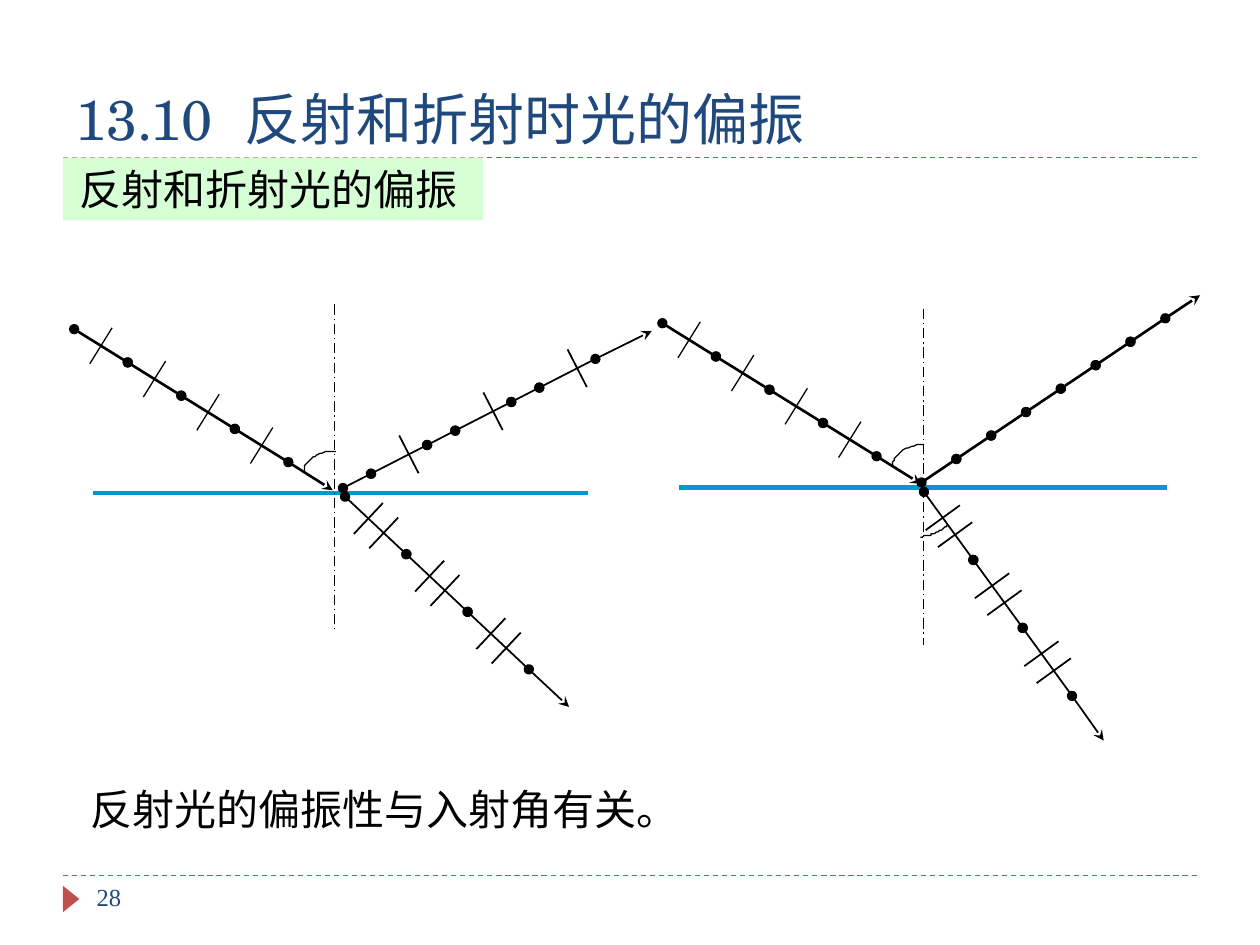
import math

import lxml.etree
import pptx
import pptx.dml.color
import pptx.enum.dml
import pptx.enum.shapes
import pptx.enum.text
import pptx.oxml.ns
import pptx.util

Pt = pptx.util.Pt
qn = pptx.oxml.ns.qn
DASH = pptx.enum.dml.MSO_LINE.DASH
AXIS_DASH = pptx.enum.dml.MSO_LINE.LONG_DASH_DOT
SHAPE = pptx.enum.shapes.MSO_SHAPE
ANCHOR = pptx.enum.text.MSO_ANCHOR

COLORS = {"title": "1F497D", "accent": "C0504D", "label": "CCFFCC",
          "surface": "0099CC", "ink": "000000"}
COLORS = {name: pptx.dml.color.RGBColor.from_string(value) for name, value in COLORS.items()}

deck = pptx.Presentation()
deck.slide_width, deck.slide_height = Pt(720), Pt(540)
page = deck.slides.add_slide(deck.slide_layouts[6])


def add_line(start, end, color, width, dash=None, head=None, tail=None):
    line = page.shapes.add_connector(
        pptx.enum.shapes.MSO_CONNECTOR.STRAIGHT, *[Pt(value) for value in (*start, *end)])
    line.line.color.rgb = COLORS[color]
    line.line.width = Pt(width)
    if dash:
        line.line.dash_style = dash
    outline = line.line._get_or_add_ln()
    for tag, kind in (("a:headEnd", head), ("a:tailEnd", tail)):
        if kind:
            lxml.etree.SubElement(outline, qn(tag), type=kind)
    lxml.etree.SubElement(line._element.spPr, qn("a:effectLst"))


def add_text(box, pieces, size, font, color, anchor, wrap=True):
    frame = box.text_frame
    frame.word_wrap = wrap
    frame.vertical_anchor = anchor
    para = frame.paragraphs[0]
    for piece in pieces:
        span = para.add_run()
        span.text = piece
        span.font.size = Pt(size)
        span.font.name = font
        span.font.color.rgb = COLORS[color]
    return para


# Rules, page marker and page number
for y in (500.4, 90):
    add_line((36, y), (684, y), "accent", 0.75, DASH)
marker = page.shapes.add_shape(SHAPE.ISOSCELES_TRIANGLE, Pt(33.1), Pt(509), Pt(15.1), Pt(9.4))
marker.rotation = 90
marker.shadow.inherit = False
marker.fill.solid()
marker.fill.fore_color.rgb = COLORS["accent"]
marker.line.fill.background()
number = page.shapes.add_textbox(Pt(48.2), Pt(500.4), Pt(156.2), Pt(28.8))
add_text(number, ["28"], 14, "Times New Roman", "title", ANCHOR.TOP)

# Title, with a widened space after the section number
title = page.shapes.add_textbox(Pt(36), Pt(18), Pt(648), Pt(72))
para = add_text(title, ["13.10", " ", "反射和折射时光的偏振"], 32, "TeX Gyre Schola", "title",
                ANCHOR.BOTTOM)
para.runs[1].font._element.set("spc", "900")

# Section label on a translucent green band
label = page.shapes.add_shape(SHAPE.RECTANGLE, Pt(36), Pt(90), Pt(240), Pt(36))
label.shadow.inherit = False
label.fill.solid()
label.fill.fore_color.rgb = COLORS["label"]
label_color = label._element.spPr.find(".//" + qn("a:srgbClr"))
lxml.etree.SubElement(label_color, qn("a:alpha"), val="80000")
label.line.fill.background()
para = add_text(label, ["反射和折射光的偏振 "], 24, "Times New Roman", "ink", ANCHOR.MIDDLE, False)
para.alignment = pptx.enum.text.PP_ALIGN.CENTER

# Surfaces and normals
add_line((53, 281.9), (336, 281.9), "surface", 2.25)
add_line((191.2, 174), (191.2, 360), "ink", 0.75, AXIS_DASH)
add_line((388, 278.6), (667, 278.6), "surface", 3)
add_line((527.6, 176.4), (527.6, 368.6), "ink", 0.75, AXIS_DASH)

# Rays: start, step, dots and ticks counted in steps, arrow tip, ray and tick widths
incident_ticks = (0.5, 1.5, 2.5, 3.5)
refracted_ticks = (0.38, 0.63, 1.38, 1.63, 2.38, 2.63)
rays = [
    ((42.4, 188.1), (30.6, 19), range(5), incident_ticks, (190.1, 280.1), 1.5, 0.75),
    ((196, 278.9), (16.03, -8.2), (0, 1, 3, 4, 6, 7, 9), (2.35, 5.35, 8.35),
     (372.4, 189.2), 1, 1),
    ((197.2, 283.8), (35, 32.9), range(4), refracted_ticks, (325.2, 404), 1, 1),
    ((378.5, 184.7), (30.6, 19), range(5), incident_ticks, (526.2, 276.5), 1.5, 0.75),
    ((526.6, 275.7), (19.9, -13.4), range(8), (), (685.8, 168.7), 1.5, 1),
    ((528, 281.1), (28.2, 38.85), range(4), refracted_ticks, (630.7, 423.2), 1, 1),
]
TICK_HALF = 12.1
for (x, y), (dx, dy), dots, ticks, tip, width, tick_width in rays:
    points = [(x + dx * n, y + dy * n) for n in dots]
    for start, end in zip(points, points[1:]):
        add_line(start, end, "ink", width, head="oval", tail="oval")
    add_line(points[-1], tip, "ink", width, tail="stealth")
    # Ticks stand at right angles to the ray
    scale = TICK_HALF / math.hypot(dx, dy)
    across, up = dy * scale, -dx * scale
    for n in ticks:
        cx, cy = x + dx * n, y + dy * n
        add_line((cx + across, cy + up), (cx - across, cy - up), "ink", tick_width)

# Angle arcs, each a cubic curve through four control points
arcs = [
    ((191.5, 257.8), (181.4, 257.8), (173.5, 263.5), (173.5, 270)),
    ((527.8, 254.2), (517.7, 254.2), (509.8, 259.9), (509.8, 266.4)),
    ((541.4, 300.2), (537.1, 303.8), (532.1, 306), (526.3, 306.7)),
]
for controls in arcs:
    curve = []
    for t in [n / 16 for n in range(17)]:
        weights = [math.comb(3, k) * t ** k * (1 - t) ** (3 - k) for k in range(4)]
        curve.append(tuple(sum(w * c[axis] for w, c in zip(weights, controls))
                           for axis in (0, 1)))
    builder = page.shapes.build_freeform(*curve[0], scale=Pt(1))
    builder.add_line_segments(curve[1:], close=False)
    arc = builder.convert_to_shape()
    arc.shadow.inherit = False
    arc.fill.background()
    arc.line.color.rgb = COLORS["ink"]
    arc.line.width = Pt(0.75)

# Conclusion
conclusion = page.shapes.add_textbox(Pt(44.6), Pt(444.2), Pt(350.6), Pt(36))
add_text(conclusion, ["反射光的偏振性与入射角有关。"], 24, "Times New Roman", "ink",
         ANCHOR.MIDDLE, False)
conclusion.text_frame.auto_size = pptx.enum.text.MSO_AUTO_SIZE.SHAPE_TO_FIT_TEXT

deck.save("out.pptx")
